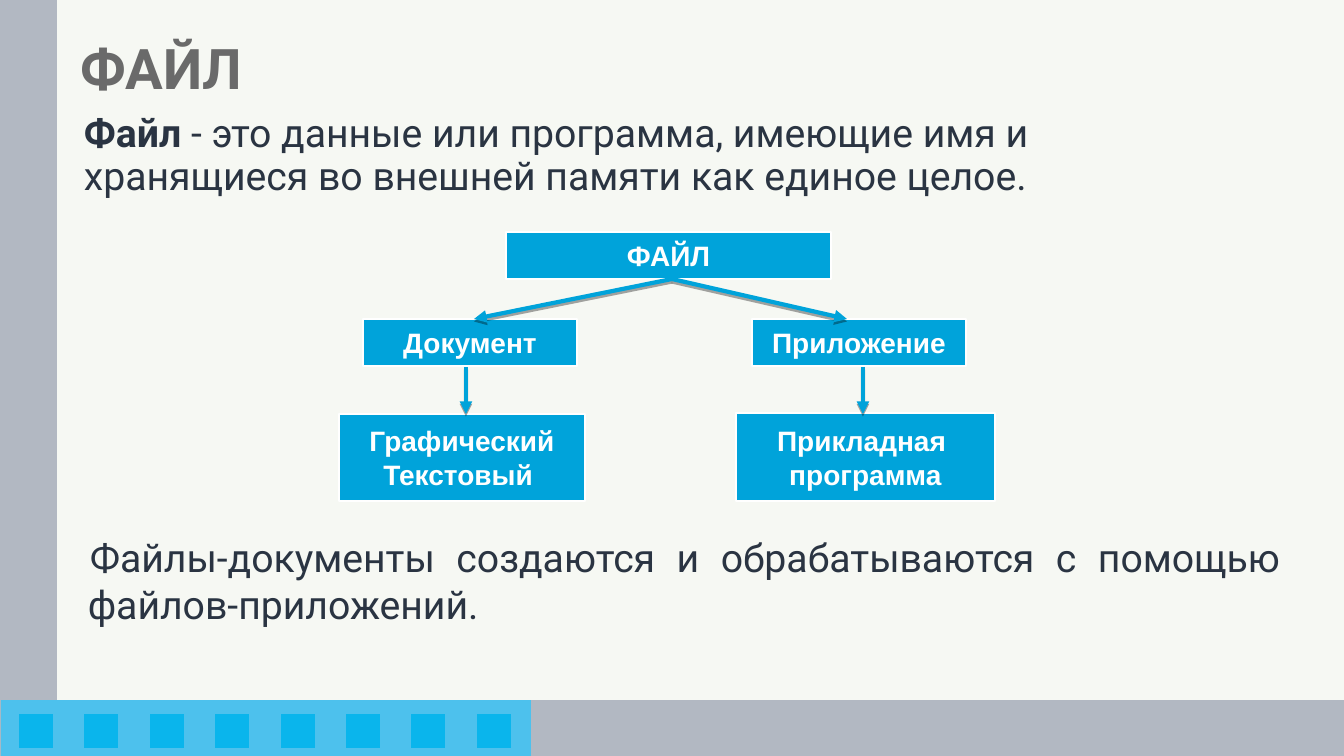
import pptx
import pptx.dml.color
import pptx.enum.shapes
import pptx.enum.text
import pptx.oxml
import pptx.oxml.ns
import pptx.util

RGBColor = pptx.dml.color.RGBColor
Align = pptx.enum.text.PP_ALIGN
Anchor = pptx.enum.text.MSO_ANCHOR
RECTANGLE = pptx.enum.shapes.MSO_SHAPE.RECTANGLE
STRAIGHT = pptx.enum.shapes.MSO_CONNECTOR.STRAIGHT

PIXEL = 914400 / 100.8
PAPER = RGBColor(0xF6, 0xF8, 0xF3)
GREY = RGBColor(0xB2, 0xB8, 0xC2)
LIGHT_BLUE = RGBColor(0x4D, 0xC1, 0xED)
BRIGHT_BLUE = RGBColor(0x0A, 0xB5, 0xEC)
BLUE = RGBColor(0x00, 0xA3, 0xDA)
WHITE = RGBColor(0xFF, 0xFF, 0xFF)
INK = RGBColor(0x2A, 0x34, 0x42)
TITLE_GREY = RGBColor(0x6A, 0x6A, 0x6A)
NAMESPACE = pptx.oxml.ns.nsdecls("a")
ARROWHEAD = f'<a:tailEnd {NAMESPACE} type="triangle"/>'
SHADOW = (f'<a:effectLst {NAMESPACE}><a:outerShdw dist="22860" dir="5400000" rotWithShape="0">'
          '<a:srgbClr val="000000"><a:alpha val="35000"/></a:srgbClr></a:outerShdw></a:effectLst>')


def px(*lengths):
    return [pptx.util.Emu(round(length * PIXEL)) for length in lengths]


def write(shape, paragraphs, size=28, font="Roboto", color=INK, align=Align.LEFT,
          anchor=Anchor.TOP, wrap=True, spacing=None):
    frame = shape.text_frame
    frame.auto_size = pptx.enum.text.MSO_AUTO_SIZE.NONE
    frame.word_wrap = wrap
    frame.vertical_anchor = anchor
    for index, spans in enumerate(paragraphs):
        para = frame.add_paragraph() if index else frame.paragraphs[0]
        para.alignment = align
        para.line_spacing = spacing
        for text, bold in spans:
            span = para.add_run()
            span.text = text
            span.font.size = pptx.util.Pt(size)
            span.font.name = font
            span.font.bold = bold
            span.font.color.rgb = color


deck = pptx.Presentation()
deck.slide_width, deck.slide_height = px(1344, 756)
page = deck.slides.add_slide(deck.slide_layouts[5])
page.background.fill.solid()
page.background.fill.fore_color.rgb = PAPER

bands = [
    (0, 0, 57, 756, GREY),
    (0, 700, 1344, 56, GREY),
    (1, 700, 530, 56, LIGHT_BLUE),
]
squares = [(round(19 + 65.4 * index), 714, 34, 34, BRIGHT_BLUE) for index in range(8)]
for *place, color in bands + squares:
    block = page.shapes.add_shape(RECTANGLE, *px(*place))
    block.shadow.inherit = False
    block.fill.solid()
    block.fill.fore_color.rgb = color
    block.line.fill.background()

title = page.shapes.title
title.left, title.top, title.width, title.height = px(70, -2, 1198, 146)
write(title, [[("ФАЙЛ", True)]], size=40, color=TITLE_GREY, anchor=Anchor.MIDDLE, spacing=0.9)

definition = page.shapes.add_textbox(*px(74, 109, 1190, 105))
write(definition, [[
    ("Файл", True),
    (" - это данные или программа, имеющие имя и хранящиеся во внешней памяти как единое целое.", False),
]], spacing=0.9)

conclusion = page.shapes.add_textbox(*px(78, 528, 1212, 105))
write(conclusion, [[
    ("Файлы-документы создаются и обрабатываются с помощью файлов-приложений.", False),
]], align=Align.JUSTIFY)
conclusion.text_frame.paragraphs[0]._p.get_or_add_pPr().set("indent", str(px(2)[0]))

boxes = [
    (363, 319, 214, 47, ["Документ"]),
    (752, 319, 214, 47, ["Приложение"]),
    (339, 414, 246, 87, ["Графический", "Текстовый "]),
    (736, 413, 259, 88, ["Прикладная ", "программа"]),
    (506, 232, 325, 47, ["ФАЙЛ"]),
]
arrows = [
    (863, 367, 863, 414),
    (466, 367, 466, 414),
    (672, 279, 474, 319),
    (672, 279, 847, 319),
]
for *place, lines in boxes:
    box = page.shapes.add_shape(RECTANGLE, *px(*place))
    box.shadow.inherit = False
    box.fill.solid()
    box.fill.fore_color.rgb = BLUE
    box.line.color.rgb = WHITE
    box.line.width = pptx.util.Pt(1.5)
    write(box, [[(line, True)] for line in lines], size=20, font="Arial", color=WHITE,
          align=Align.CENTER, anchor=Anchor.MIDDLE, wrap=False)

for ends in arrows:
    arrow = page.shapes.add_connector(STRAIGHT, *px(*ends))
    arrow.line.color.rgb = BLUE
    arrow.line.width = pptx.util.Pt(3)
    arrow.line._get_or_add_ln().append(pptx.oxml.parse_xml(ARROWHEAD))
    arrow._element.spPr.append(pptx.oxml.parse_xml(SHADOW))

deck.save("out.pptx")
